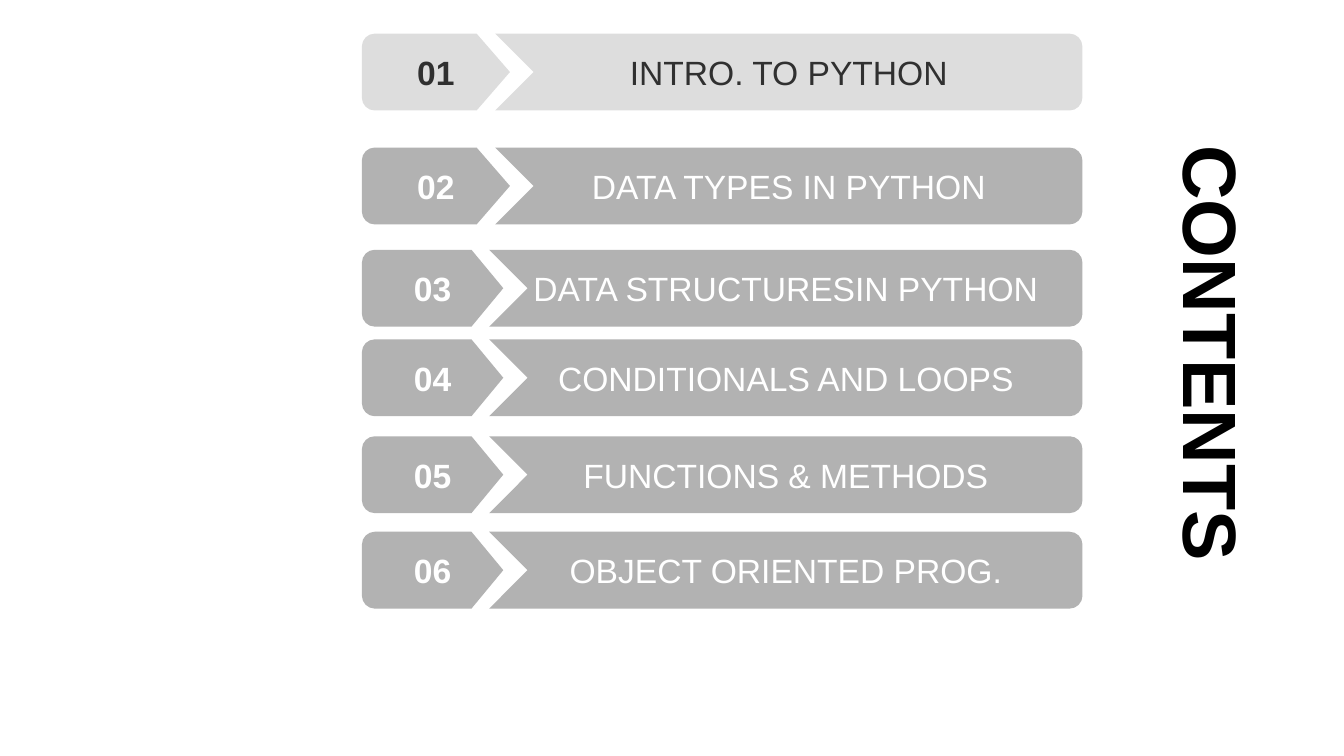
import math
import lxml.etree
import pptx
import pptx.util
import pptx.dml.color
import pptx.enum.text
import pptx.oxml.ns

Pt = pptx.util.Pt
qn = pptx.oxml.ns.qn
COLORS = {"pale": "DDDDDD", "gray": "B2B2B2", "dark": "303030",
          "white": "FFFFFF", "black": "000000"}
LEFT, WIDTH, HEIGHT = 258.5, 514.7, 54.9
ROUND = 9.2
BEND = 0.55  # control point distance of a quarter circle
UNIT = 100  # outline units per point

# top, tip of the number tab, label, fill, text colour
ROWS = [
    (24, 105.8, "INTRO. TO PYTHON", "pale", "dark"),
    (105.4, 105.8, "DATA TYPES IN PYTHON", "gray", "white"),
    (178.4, 101, "DATA STRUCTURESIN PYTHON", "gray", "white"),
    (242.4, 101, "CONDITIONALS AND LOOPS", "gray", "white"),
    (311.6, 101, "FUNCTIONS & METHODS", "gray", "white"),
    (379.8, 101, "OBJECT ORIENTED PROG.", "gray", "white"),
]


def rgb(name):
    return pptx.dml.color.RGBColor.from_string(COLORS[name])


def write(shape, text, size=24, color="white", bold=False):
    frame = shape.text_frame
    frame.word_wrap = True
    frame.auto_size = pptx.enum.text.MSO_AUTO_SIZE.NONE
    frame.vertical_anchor = pptx.enum.text.MSO_ANCHOR.MIDDLE
    para = frame.paragraphs[0]
    para.text = text
    para.alignment = pptx.enum.text.PP_ALIGN.CENTER
    font = para.font
    font.name, font.size, font.bold = "Arial", Pt(size), bold
    font.color.rgb = rgb(color)


def corner(x, y, start):
    """Curve of a clockwise quarter turn around (x, y) from start degrees."""
    turn = math.radians(start)
    ux, uy = math.cos(turn), math.sin(turn)
    parts = [(1, 0), (1, BEND), (BEND, 1), (0, 1)]
    return [(x + ROUND * (a * ux - b * uy), y + ROUND * (a * uy + b * ux))
            for a, b in parts]


def outline(shapes, pieces, fill):
    """Closed shape from pieces: one point is a line end, four a curve."""
    units = [(round(x * UNIT), round(y * UNIT))
             for piece in pieces for x, y in piece]
    form = shapes.build_freeform(*units[0], scale=Pt(1) / UNIT)
    form.add_line_segments(units[1:], close=True)
    shape = form.convert_to_shape()
    steps = list(shape._element.find(".//" + qn("a:path")))
    first = 0
    for piece in pieces:
        if len(piece) == 4:
            curve = lxml.etree.Element(qn("a:cubicBezTo"))
            steps[first].addnext(curve)
            for step in steps[first + 1:first + 4]:
                curve.append(step[0])
                step.getparent().remove(step)
        first += len(piece)
    shape.shadow.inherit = False
    shape.fill.solid()
    shape.fill.fore_color.rgb = rgb(fill)
    shape.line.fill.background()
    return shape


def add_row(slide, left, top, width, height, tip, number, label, fill, color):
    """Number tab pointing into the notch of a label bar."""
    shapes = slide.shapes.add_group_shape().shapes
    right, low, mid = left + width, top + height, top + height / 2
    point = left + tip
    neck = point - tip * 0.225
    tab = [[(neck, top)], [(point, mid)], [(neck, low)],
           corner(left + ROUND, low - ROUND, 90),
           corner(left + ROUND, top + ROUND, 180)]
    write(outline(shapes, tab, fill), number, color=color, bold=True)

    start = point - tip * 0.1
    bar = [[(start, top)],
           corner(right - ROUND, top + ROUND, 270),
           corner(right - ROUND, low - ROUND, 0),
           [(start, low)], [(start + height / 2, mid)]]
    write(outline(shapes, bar, fill), label, color=color)


def add_title(slide, left, top, width, height):
    title = slide.shapes.title
    title.left, title.top = Pt(left), Pt(top)
    title.width, title.height = Pt(width), Pt(height)
    write(title, "CONTENTS", size=54, color="black", bold=True)
    frame = title.text_frame
    frame.margin_left = frame.margin_right = 0
    frame.margin_top = frame.margin_bottom = 0
    frame._txBody.bodyPr.set("vert", "eaVert")


def main():
    deck = pptx.Presentation()
    deck.slide_width, deck.slide_height = Pt(960), Pt(540)
    slide = deck.slides.add_slide(deck.slide_layouts[5])
    add_title(slide, 827.3, 103.7, 79.9, 303.8)
    for index, (top, tip, label, fill, color) in enumerate(ROWS, 1):
        add_row(slide, LEFT, top, WIDTH, HEIGHT, tip, f"{index:02}",
                label, fill, color)
    deck.save("out.pptx")


if __name__ == "__main__":
    main()
